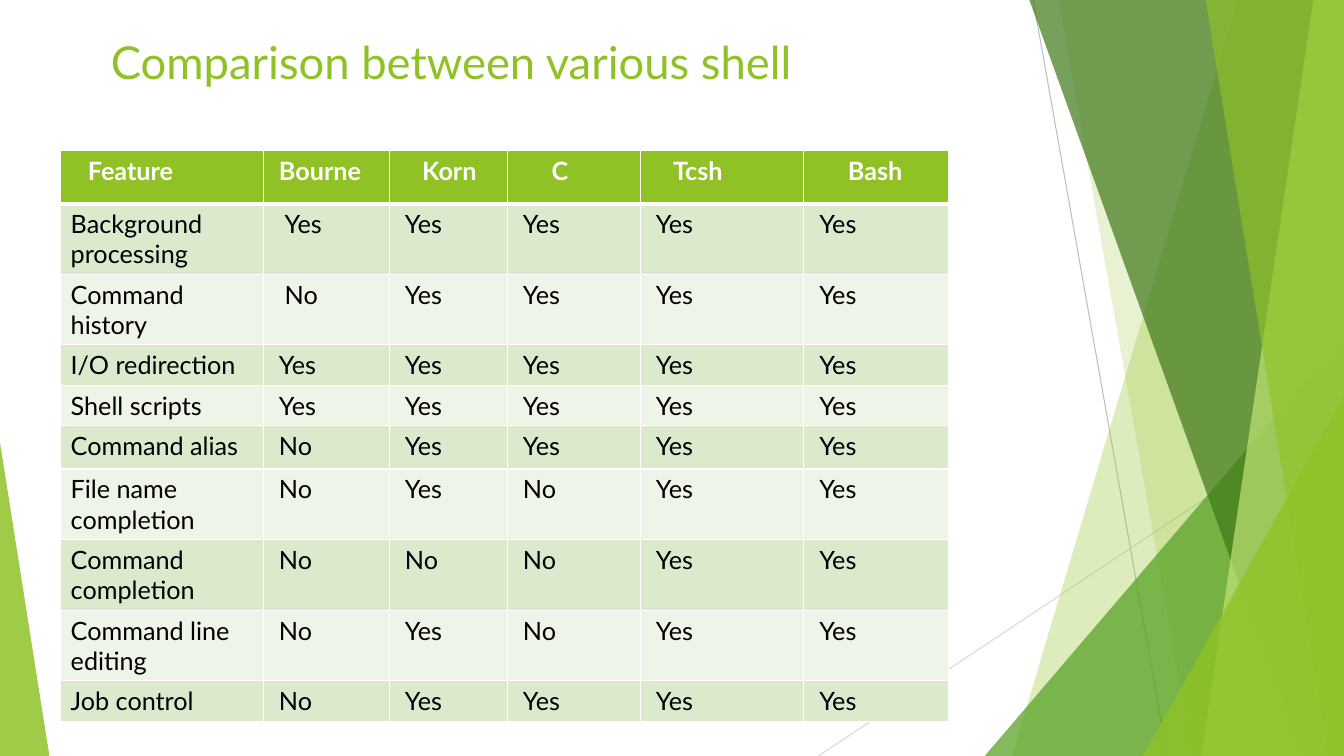
import dataclasses

import pptx
import pptx.dml.color
import pptx.enum.shapes
import pptx.enum.text
import pptx.oxml
import pptx.oxml.ns
import pptx.util
from lxml import etree

Pt = pptx.util.Pt
FONT = "Lato"
GREEN, WHITE, BLACK = "90C226", "FFFFFF", "000000"
SLIDE_WIDTH, SLIDE_HEIGHT = 960, 540
FACET_TOP = -0.6
CELL_MARGIN = 7.2
INDENT_STEP = 4.1


@dataclasses.dataclass
class Ray:
    start: tuple[float, float]
    end: tuple[float, float]
    color: str


@dataclasses.dataclass
class Facet:
    """Band from the top to the bottom of the slide, open to its right edge."""
    top_left: float
    bottom_left: float
    color: str
    opacity: int


@dataclasses.dataclass
class Corner:
    """Right triangle standing on the bottom edge; peak is 0 left, 1 right."""
    left: float
    width: float
    height: float
    peak: int
    color: str
    opacity: int


@dataclasses.dataclass
class Feature:
    label: str
    support: str
    height: float
    bourne_indent: int = 1


RAYS = [
    Ray((738, 0), (833.8, SLIDE_HEIGHT), "BFBFBF"),
    Ray((SLIDE_WIDTH, 290.2), (584.6, SLIDE_HEIGHT), "D9D9D9"),
]
# Back to front
DECORATION = [
    Facet(884.2, 722.9, GREEN, 30),
    Facet(756, 851.8, GREEN, 20),
    Corner(703.4, 256.6, 300.2, 1, "54A021", 72),
    Facet(735.1, 929.5, "3F7819", 70),
    Facet(938.2, 858.2, "C0E474", 70),
    Facet(861.1, 949, GREEN, 65),
    Corner(816.5, 143.5, 257, 1, GREEN, 80),
    Corner(0, 35.3, 223.9, 0, GREEN, 85),
]

SHELLS = ["Feature", "Bourne", "Korn", "C", "Tcsh", "Bash"]
HEADER_INDENTS = [3, 1, 4, 6, 4, 6]
COLUMN_WIDTHS = [144.7, 90, 84.3, 95, 116.7, 103.7]
HEADER_HEIGHT, ONE_LINE, TWO_LINES = 38, 28.8, 50.4
# One letter per shell, in the order of the header
FEATURES = [
    Feature("Background processing", "YYYYY", TWO_LINES, 2),
    Feature("Command history", "NYYYY", TWO_LINES, 2),
    Feature("I/O redirection", "YYYYY", ONE_LINE),
    Feature("Shell scripts", "YYYYY", ONE_LINE),
    Feature("Command alias", "NYYYY", 31),
    Feature("File name completion", "NYNYY", TWO_LINES),
    Feature("Command completion", "NNNYY", TWO_LINES),
    Feature("Command line editing", "NYNYY", TWO_LINES),
    Feature("Job control", "NYYYY", ONE_LINE),
]
ANSWERS = {"Y": "Yes", "N": "No"}


def rgb(color: str) -> pptx.dml.color.RGBColor:
    return pptx.dml.color.RGBColor.from_string(color)


def style_shape(shape, color: str, opacity: int) -> None:
    shape.shadow.inherit = False
    shape.line.fill.background()
    shape.fill.solid()
    shape.fill.fore_color.rgb = rgb(color)
    for srgb in shape.element.spPr.iter(pptx.oxml.ns.qn("a:srgbClr")):
        etree.SubElement(srgb, pptx.oxml.ns.qn("a:alpha"), val=str(opacity * 1000))


def draw_ray(slide, ray: Ray) -> None:
    line = slide.shapes.add_connector(
        pptx.enum.shapes.MSO_CONNECTOR.STRAIGHT,
        *(Pt(value) for value in ray.start + ray.end))
    line.line.color.rgb = rgb(ray.color)
    line.line.width = Pt(0.75)
    etree.SubElement(line.element.spPr, pptx.oxml.ns.qn("a:effectLst"))


def draw_facet(slide, facet: Facet) -> None:
    corners = [(facet.top_left, FACET_TOP), (SLIDE_WIDTH, FACET_TOP),
               (SLIDE_WIDTH, SLIDE_HEIGHT), (facet.bottom_left, SLIDE_HEIGHT)]
    first, *rest = [(Pt(x), Pt(y)) for x, y in corners]
    outline = slide.shapes.build_freeform(*first)
    outline.add_line_segments(rest, close=True)
    style_shape(outline.convert_to_shape(), facet.color, facet.opacity)


def draw_corner(slide, corner: Corner) -> None:
    triangle = slide.shapes.add_shape(
        pptx.enum.shapes.MSO_SHAPE.ISOSCELES_TRIANGLE,
        Pt(corner.left), Pt(SLIDE_HEIGHT - corner.height),
        Pt(corner.width), Pt(corner.height))
    triangle.adjustments[0] = corner.peak
    style_shape(triangle, corner.color, corner.opacity)


def set_font(paragraph, size: float, color: str, bold: bool = False) -> None:
    paragraph.font.name = FONT
    paragraph.font.size = Pt(size)
    paragraph.font.bold = bold
    paragraph.font.color.rgb = rgb(color)


def set_borders(cell, top: float, bottom: float) -> None:
    properties = cell._tc.get_or_add_tcPr()
    for side, width in (("L", 1), ("R", 1), ("T", top), ("B", bottom)):
        properties.append(pptx.oxml.parse_xml(
            f'<a:ln{side} {pptx.oxml.ns.nsdecls("a")} w="{Pt(width)}">'
            f'<a:solidFill><a:srgbClr val="{WHITE}"/></a:solidFill></a:ln{side}>'))


def fill_row(table, row: int, texts: list[str], indents: list[int]) -> None:
    is_header = row == 0
    fill = GREEN if is_header else ("EEF4E8", "DBE9CD")[row % 2]
    for column, (text, indent) in enumerate(zip(texts, indents)):
        cell = table.cell(row, column)
        set_borders(cell, top=3 if row == 1 else 1, bottom=3 if is_header else 1)
        cell.fill.solid()
        cell.fill.fore_color.rgb = rgb(fill)
        cell.margin_left = Pt(CELL_MARGIN + indent * INDENT_STEP)
        cell.text = text
        set_font(cell.text_frame.paragraphs[0], 18,
                 WHITE if is_header else BLACK, is_header)


def draw_comparison(slide) -> None:
    heights = [HEADER_HEIGHT] + [feature.height for feature in FEATURES]
    table = slide.shapes.add_table(
        len(heights), len(SHELLS), Pt(43.3), Pt(107.5),
        Pt(sum(COLUMN_WIDTHS)), Pt(sum(heights))).table
    for column, width in zip(table.columns, COLUMN_WIDTHS):
        column.width = Pt(width)
    for row, height in zip(table.rows, heights):
        row.height = Pt(height)
    fill_row(table, 0, SHELLS, HEADER_INDENTS)
    for row, feature in enumerate(FEATURES, start=1):
        answers = [ANSWERS[letter] for letter in feature.support]
        fill_row(table, row, [feature.label] + answers,
                 [0, feature.bourne_indent, 1, 1, 1, 1])


def draw_title(slide) -> None:
    title = slide.shapes.title
    title.left, title.top, title.width, title.height = (
        Pt(72), Pt(20.2), Pt(816), Pt(47.5))
    title.text_frame.text = "Comparison between various shell"
    title.text_frame.vertical_anchor = pptx.enum.text.MSO_ANCHOR.MIDDLE
    heading = title.text_frame.paragraphs[0]
    heading.alignment = pptx.enum.text.PP_ALIGN.LEFT
    set_font(heading, 32.4, GREEN)
    # Bring the title in front of the decoration
    slide.shapes.element.append(title.element)


def main() -> None:
    deck = pptx.Presentation()
    deck.slide_width, deck.slide_height = Pt(SLIDE_WIDTH), Pt(SLIDE_HEIGHT)
    slide = deck.slides.add_slide(deck.slide_layouts.get_by_name("Title Only"))

    # Green facets
    for ray in RAYS:
        draw_ray(slide, ray)
    for part in DECORATION:
        if isinstance(part, Facet):
            draw_facet(slide, part)
        else:
            draw_corner(slide, part)

    # Content
    draw_title(slide)
    draw_comparison(slide)
    deck.save("out.pptx")


if __name__ == "__main__":
    main()
